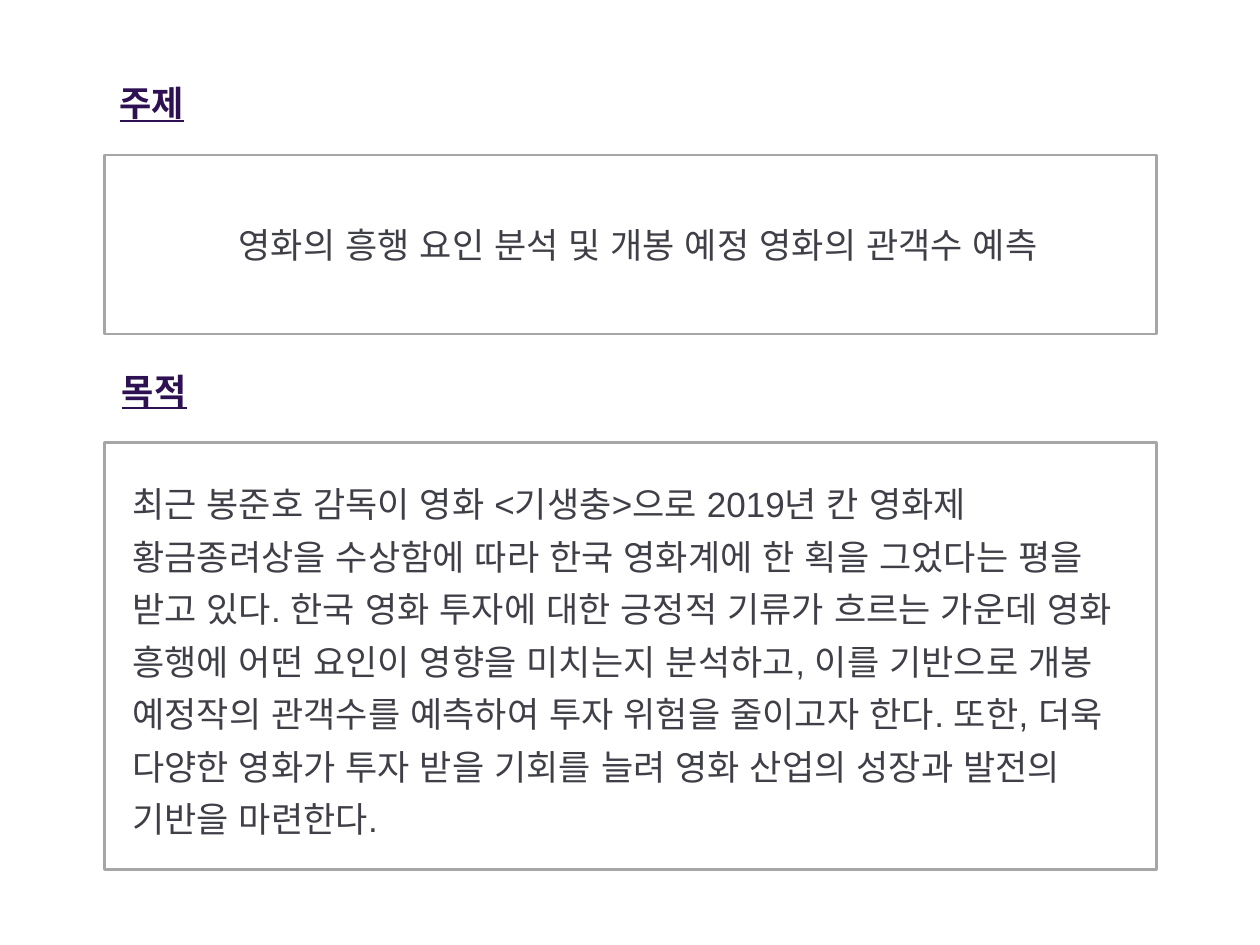
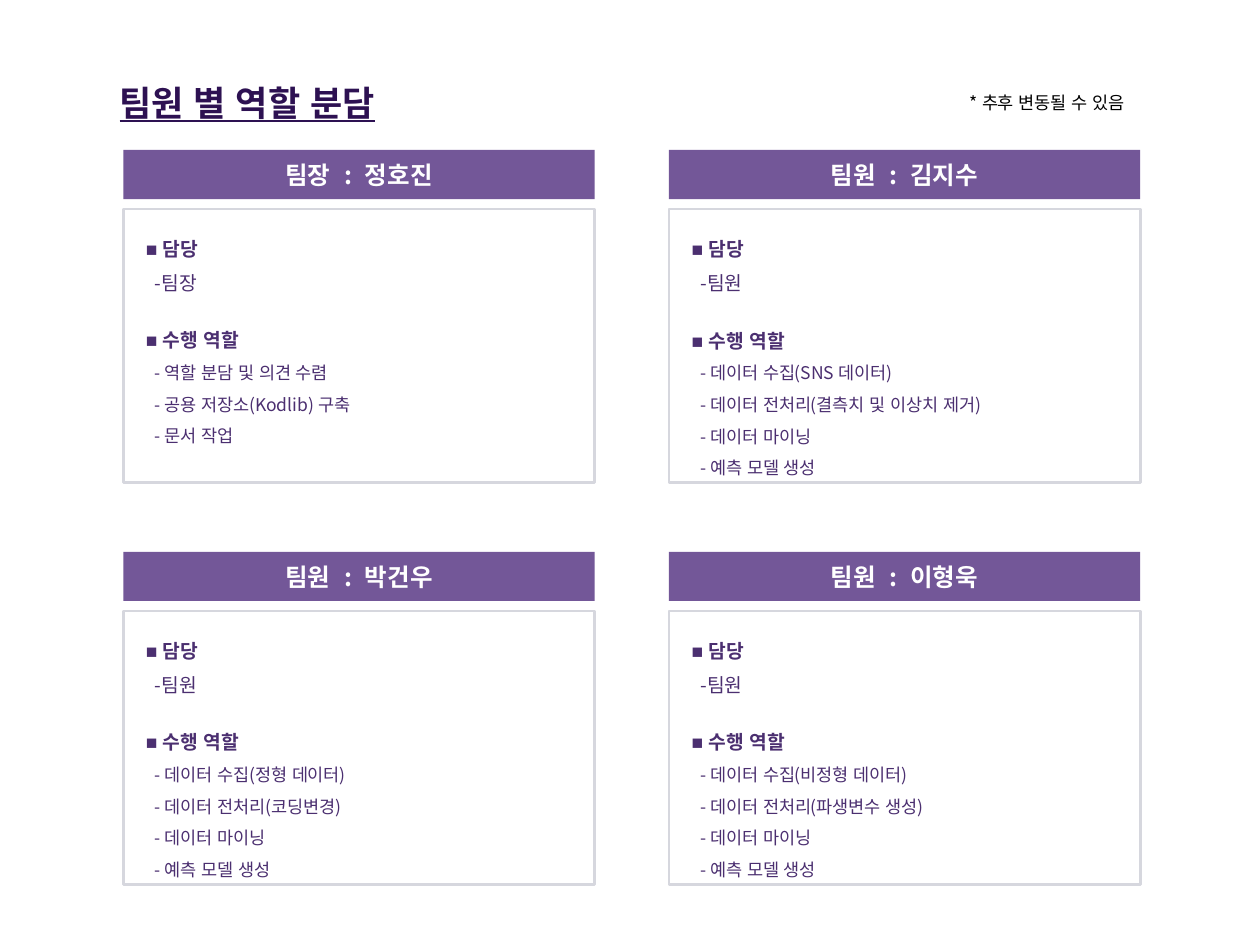
from dataclasses import dataclass
from itertools import product
from typing import Optional

from lxml.etree import SubElement
from pptx import Presentation
from pptx.dml.color import RGBColor as Rgb
from pptx.enum.shapes import MSO_SHAPE as Kind
from pptx.enum.text import MSO_ANCHOR as Anchor, PP_ALIGN as Align
from pptx.oxml.ns import qn
from pptx.util import Inches, Pt

LATIN, KOREAN = "Arial", "Noto Sans CJK KR"
TITLE, INK, GREY = "2D1152", "3F3F48", "A6A6A6"
BAND, FRAME, PLUM = "735798", "D6D7DE", "4B2F70"
WHITE, BLACK = "FFFFFF", "000000"


@dataclass
class Box:
    x: float
    y: float
    w: float
    h: float

    def size(self) -> list:
        return [Inches(v) for v in (self.x, self.y, self.w, self.h)]


@dataclass
class Style:
    size: float
    color: str
    font: str = KOREAN
    bold: bool = False
    under: bool = False


@dataclass
class Member:
    role: str
    name: str
    tasks: tuple


HEAD = Style(20, TITLE, LATIN, True, True)
BODY = Style(20, INK, LATIN)
NAME = Style(14, WHITE, bold=True)
LABEL = Style(11, PLUM, bold=True)
ROLE = Style(11, PLUM)
TASK = Style(10, PLUM)
NOTE = Style(10, BLACK)

TOPIC = "영화의 흥행 요인 분석 및 개봉 예정 영화의 관객수 예측"
PURPOSE = (
    "최근 봉준호 감독이 영화 <기생충>으로 2019년 칸 영화제 황금종려상을 "
    "수상함에 따라 한국 영화계에 한 획을 그었다는 평을 받고 있다. "
    "한국 영화 투자에 대한 긍정적 기류가 흐르는 가운데 영화 흥행에 어떤 "
    "요인이 영향을 미치는지 분석하고, 이를 기반으로 개봉 예정작의 관객수를 "
    "예측하여 투자 위험을 줄이고자 한다. 또한, 더욱 다양한 영화가 투자 받을 "
    "기회를 늘려 영화 산업의 성장과 발전의 기반을 마련한다."
)
COMMON = ("데이터 마이닝", "예측 모델 생성")
TEAM = (
    Member("팀장", "정호진", (
        "역할 분담 및 의견 수렴", "공용 저장소(Kodlib) 구축", "문서 작업")),
    Member("팀원", "김지수", (
        "데이터 수집(SNS 데이터)",
        "데이터 전처리(결측치 및 이상치 제거)", *COMMON)),
    Member("팀원", "박건우", (
        "데이터 수집(정형 데이터)", "데이터 전처리(코딩변경)", *COMMON)),
    Member("팀원", "이형욱", (
        "데이터 수집(비정형 데이터)",
        "데이터 전처리(파생변수 생성)", *COMMON)),
)


def paint(code: str) -> Rgb:
    return Rgb.from_string(code)


def format_run(run, style: Style) -> None:
    font = run.font
    font.size = Pt(style.size)
    font.name = style.font
    font.bold = style.bold
    font.underline = style.under
    font.color.rgb = paint(style.color)
    SubElement(run._r.get_or_add_rPr(), qn("a:ea"), typeface=LATIN)


def write(para, text: str, style: Style, indent: float = 0) -> None:
    para.text = text
    for run in para.runs:
        format_run(run, style)
    if indent:
        para._p.get_or_add_pPr().set("marL", str(Inches(indent)))


def add_text(slide, box: Box, text: str, style: Style) -> None:
    frame = slide.shapes.add_textbox(*box.size()).text_frame
    frame.word_wrap = True
    write(frame.paragraphs[0], text, style)


def add_rect(shapes, box: Box, fill: Optional[str] = None,
             line: Optional[str] = None):
    rect = shapes.add_shape(Kind.RECTANGLE, *box.size())
    rect.shadow.inherit = False
    if fill:
        rect.fill.solid()
        rect.fill.fore_color.rgb = paint(fill)
    else:
        rect.fill.background()
    if line:
        rect.line.color.rgb = paint(line)
        rect.line.width = Pt(1.5)
    else:
        rect.line.fill.background()
    rect.text_frame.word_wrap = True
    rect.text_frame.vertical_anchor = Anchor.MIDDLE
    return rect


def add_panel(slide, box: Box, text: str, align, space: float) -> None:
    rect = add_rect(slide.shapes, box, line=GREY)
    para = rect.text_frame.paragraphs[0]
    write(para, text, BODY, 0.12)
    para.alignment = align
    para.line_spacing = space


def add_band(shapes, box: Box, member: Member) -> None:
    para = add_rect(shapes, box, fill=BAND).text_frame.paragraphs[0]
    para.alignment = Align.CENTER
    for part in (member.role, " ", ":", " ", member.name):
        run = para.add_run()
        run.text = part
        format_run(run, NAME)
        if part == " ":
            run._r.get_or_add_rPr().set("spc", "390")


def add_card(slide, x: float, y: float, member: Member) -> None:
    group = slide.shapes.add_group_shape().shapes
    add_band(group, Box(x, y, 3.74, 0.39), member)
    add_rect(group, Box(x, y + 0.47, 3.74, 2.17), line=FRAME)

    tall = 1.38 + 0.25 * len(member.tasks)
    area = Box(x + 0.08, y + 0.55, 3.58, tall)
    frame = slide.shapes.add_textbox(*area.size()).text_frame
    frame.word_wrap = True
    rows = [
        ("■ 담당", LABEL, 0, 0),
        (f"-{member.role}", ROLE, 0.07, 0),
        ("■ 수행 역할", LABEL, 0, 12.8),
        *((f"- {task}", TASK, 0.07, 0) for task in member.tasks),
    ]
    for i, (text, style, indent, gap) in enumerate(rows):
        para = frame.add_paragraph() if i else frame.paragraphs[0]
        write(para, text, style, indent)
        para.line_spacing = 1.5
        para.space_before = Pt(gap)


def add_slide(deck, title: str):
    slide = deck.slides.add_slide(deck.slide_layouts[6])
    add_text(slide, Box(0.85, 0.6, 4.82, 0.44), title, HEAD)
    return slide


def draw_goal(deck) -> None:
    slide = add_slide(deck, "주제")
    add_text(slide, Box(0.87, 2.88, 2.97, 0.44), "목적", HEAD)
    add_panel(slide, Box(0.83, 1.23, 8.35, 1.42), TOPIC, Align.CENTER, 1.0)
    add_panel(slide, Box(0.83, 3.51, 8.35, 3.39), PURPOSE, Align.LEFT, 1.25)


def draw_team(deck) -> None:
    slide = add_slide(deck, "팀원 별 역할 분담")
    add_text(slide, Box(7.6, 0.68, 2.24, 0.27), "* 추후 변동될 수 있음", NOTE)
    for (y, x), member in zip(product((1.19, 4.38), (0.98, 5.31)), TEAM):
        add_card(slide, x, y, member)


def main() -> None:
    deck = Presentation()
    deck.slide_width, deck.slide_height = Inches(10), Inches(7.5)
    draw_goal(deck)
    draw_team(deck)
    deck.save("out.pptx")


main()
